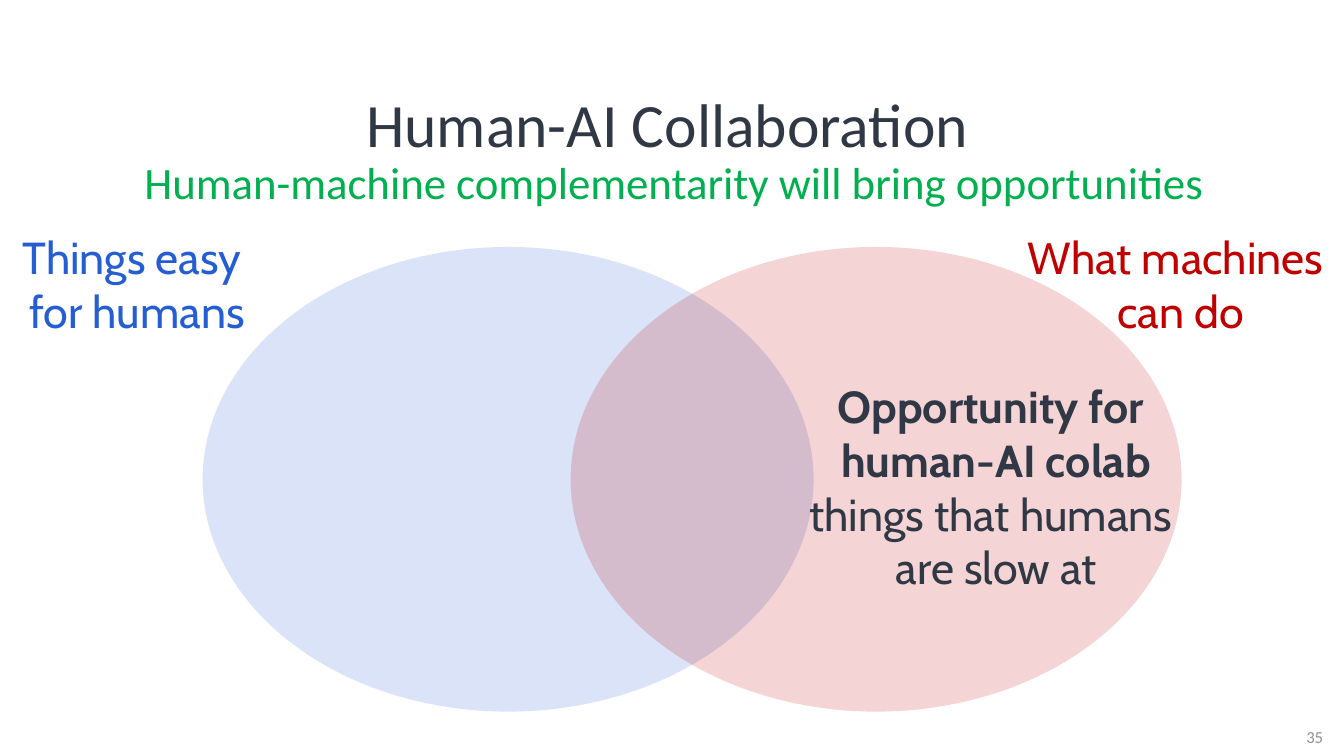
from pptx import Presentation
from pptx.dml.color import RGBColor
from pptx.enum.shapes import MSO_SHAPE
from pptx.enum.text import MSO_ANCHOR, PP_ALIGN
from pptx.util import Inches, Pt
from lxml import etree

OVAL = MSO_SHAPE.OVAL
TOP, MIDDLE = MSO_ANCHOR.TOP, MSO_ANCHOR.MIDDLE
CENTER = PP_ALIGN.CENTER

THEME = {
    "ink": "303845", "green": "00B050", "blue": "255ED3", "red": "C00000",
    "gray": "8F9194", "head": "Calibri", "body": "Cabin",
    "title": 44, "text": 32, "small": 12, "alpha": 17,
}

# Content: a paragraph is a list of lines, a line is (text, format)
TITLE = [[
    ("Human-AI Collaboration ", {"size": "title"}),
    ("Human-machine complementarity will bring opportunities", {"color": "green"}),
]]
CHANCE = [
    [("Opportunity for ", {"bold": True}), ("human-AI colab", {"bold": True})],
    [("things that humans ", {}), ("are slow at", {})],
]
MACHINE = [[("What machines ", {}), ("can do", {})]]
HUMAN = [[("Things easy ", {}), ("for humans", {})]]
NUMBER = [[("35", {})]]

# Venn diagram: left edge and colour of each oval
OVALS = [(2.01, "blue"), (5.66, "red")]
OVAL_TOP, OVAL_W, OVAL_H = 2.45, 6.06, 4.61
LABEL_TOP, LABEL_W, LABEL_H = 2.23, 4.68, 1.18


def rgb(name):
    return RGBColor.from_string(THEME[name])


def add_text(slide, paras, box, font="body", size="text", color="ink",
             anchor=TOP, spacing=None):
    frame = slide.shapes.add_textbox(*map(Inches, box)).text_frame
    frame.word_wrap = True
    frame.vertical_anchor = anchor
    for i, lines in enumerate(paras):
        para = frame.add_paragraph() if i else frame.paragraphs[0]
        para.alignment = CENTER
        if spacing:
            para.line_spacing = spacing
        for j, (text, style) in enumerate(lines):
            if j:
                para.add_line_break()
            run = para.add_run()
            run.text = text
            run.font.name = THEME[font]
            run.font.size = Pt(THEME[style.get("size", size)])
            run.font.bold = style.get("bold", False)
            run.font.color.rgb = rgb(style.get("color", color))


def add_oval(slide, left, color):
    oval = slide.shapes.add_shape(
        OVAL, *map(Inches, (left, OVAL_TOP, OVAL_W, OVAL_H)))
    oval.shadow.inherit = False
    oval.line.fill.background()
    oval.fill.solid()
    oval.fill.fore_color.rgb = rgb(color)
    tint = oval.fill._xPr.solidFill.srgbClr
    ns = tint.nsmap["a"]
    alpha = etree.SubElement(tint, "{%s}alpha" % ns)
    alpha.set("val", str(THEME["alpha"] * 1000))


def main():
    deck = Presentation()
    deck.slide_width, deck.slide_height = Inches(13.33), Inches(7.5)
    slide = deck.slides.add_slide(deck.slide_layouts[6])

    # Title
    add_text(slide, TITLE, (0.22, 0.96, 12.94, 1.1), font="head",
             anchor=MIDDLE, spacing=0.9)

    # Overlapping ovals
    for left, color in OVALS:
        add_oval(slide, left, color)

    # Labels
    add_text(slide, CHANCE, (7.54, 3.71, LABEL_W, 2.26))
    for paras, left, color in [(MACHINE, 9.37, "red"), (HUMAN, -0.98, "blue")]:
        add_text(slide, paras, (left, LABEL_TOP, LABEL_W, LABEL_H), color=color)

    # Slide number
    add_text(slide, NUMBER, (12.75, 7.11, 0.58, 0.4), font="head",
             size="small", color="gray", anchor=MIDDLE)

    deck.save("out.pptx")


if __name__ == "__main__":
    main()
